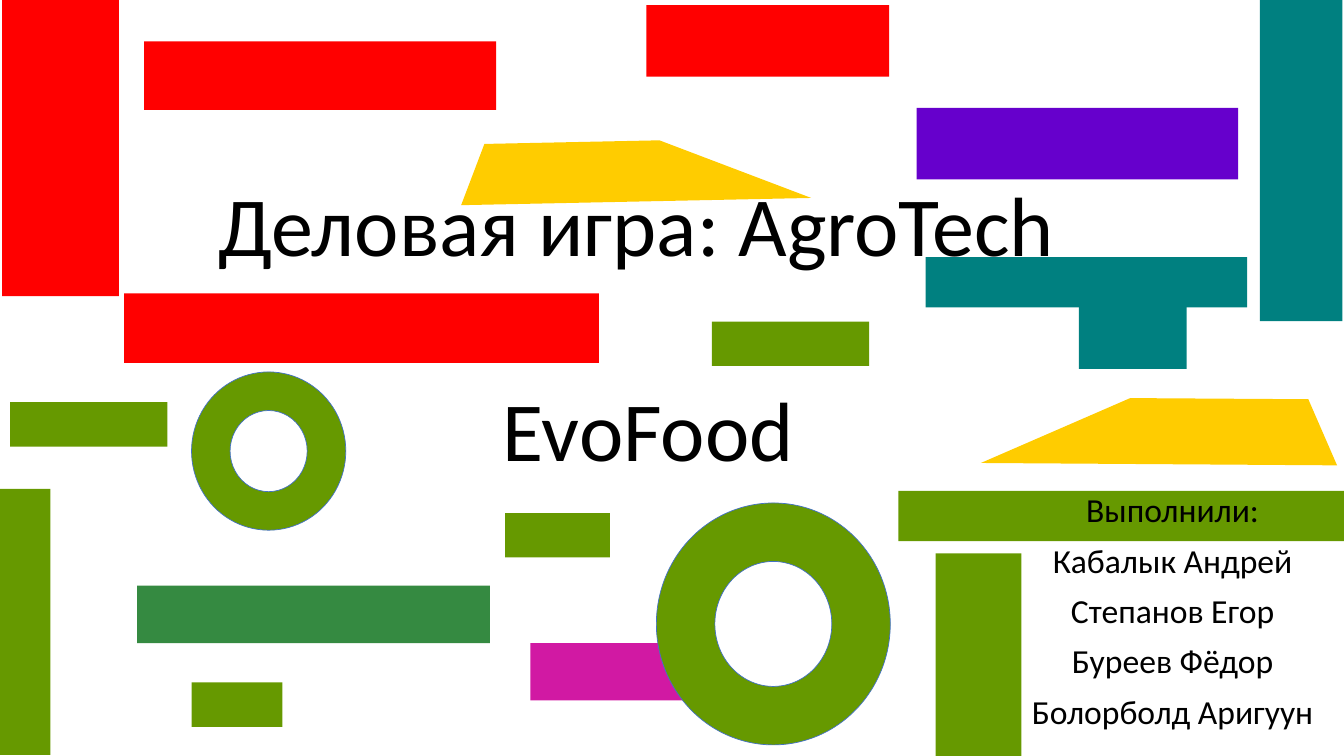
from lxml.etree import SubElement
from pptx import Presentation
from pptx.dml.color import RGBColor
from pptx.enum.shapes import MSO_SHAPE
from pptx.enum.text import MSO_ANCHOR, PP_ALIGN
from pptx.oxml.ns import qn
from pptx.util import Inches, Pt

COLORS = {
    "red": "FF0000", "green": "669900", "teal": "008080",
    "violet": "6600CC", "yellow": "FFCC00", "pink": "CC0099",
    "forest": "207E2D", "edge": "4472C4", "ink": "000000",
}
RECT, RING, STRIPE = MSO_SHAPE.RECTANGLE, MSO_SHAPE.DONUT, MSO_SHAPE.DIAGONAL_STRIPE

# Back to front: kind, colour, (left, top, width, height), rotation
BLOCKS = [
    (RECT, "red", (1.43, 0.41, 3.49, 0.68), 0),
    (RECT, "red", (-0.88, 0.88, 2.96, 1.16), 90),
    (RECT, "red", (6.41, 0.05, 2.41, 0.71), 0),
    (RECT, "green", (0.1, 3.99, 1.56, 0.44), 180),
    (RECT, "pink", (5.26, 6.38, 1.52, 0.57), 0),
    (RECT, "teal", (9.18, 2.55, 3.19, 0.5), 0),
    (RING, "green", (1.9, 3.69, 1.53, 1.57), 0),
    (RECT, "violet", (9.09, 1.07, 3.19, 0.71), 0),
    (STRIPE, "yellow", (10.78, 2.99, 1.43, 3.23), 66.5),
    (STRIPE, "yellow", (5.66, 0.39, 1.3, 3.22), 290.8),
    (RECT, "red", (1.23, 2.91, 4.71, 0.69), 0),
    (RECT, "teal", (11.31, 1.18, 3.19, 0.82), 90),
    (RECT, "teal", (10.7, 2.95, 1.07, 0.71), 0),
    (RING, "green", (6.51, 4.99, 2.32, 2.4), 0),
    (RECT, "green", (1.9, 6.77, 0.9, 0.44), 180),
    (RECT, "forest", (1.36, 5.81, 3.5, 0.57), 0),
    (RECT, "green", (-1.07, 5.92, 2.64, 0.5), 90),
    (RECT, "green", (8.91, 4.87, 4.42, 0.5), 0),
    (RECT, "green", (7.06, 3.19, 1.56, 0.44), 180),
    (RECT, "green", (5.01, 5.09, 1.04, 0.44), 180),
    (RECT, "green", (8.7, 6.07, 2.01, 0.85), 90),
]
TEAM = ["Выполнили:", "Кабалык Андрей", "Степанов Егор",
        "Буреев Фёдор", "Болорболд Аригуун"]


def color(name):
    return RGBColor.from_string(COLORS[name])


def fade(shape, percent):
    """Set the opacity of a solid fill."""
    tint = shape.element.spPr.find(qn("a:solidFill"))[0]
    SubElement(tint, qn("a:alpha")).set("val", str(percent * 1000))


def flip(shape):
    shape.element.spPr.find(qn("a:xfrm")).set("flipH", "1")


def add_block(slide, kind, fill, box, angle):
    shape = slide.shapes.add_shape(kind, *map(Inches, box))
    shape.rotation = angle
    shape.shadow.inherit = False
    shape.fill.solid()
    shape.fill.fore_color.rgb = color(fill)
    if kind == RING:
        shape.line.color.rgb = color("edge")
        shape.line.width = Pt(0.5)
    else:
        shape.line.fill.background()
    if fill in ("pink", "forest"):
        fade(shape, 90)
    if kind == STRIPE and angle > 180:
        flip(shape)


def add_text(slide, lines, box, size, anchor):
    frame = slide.shapes.add_textbox(*map(Inches, box)).text_frame
    frame.word_wrap = True
    frame.vertical_anchor = anchor
    frame.text = "\n".join(lines)
    for i, para in enumerate(frame.paragraphs):
        para.alignment = PP_ALIGN.CENTER
        para.line_spacing = 0.9
        if i:
            para.space_before = Pt(10)
        font = para.runs[0].font
        font.name = "Calibri"
        font.size = Pt(size)
        font.color.rgb = color("ink")


def main():
    deck = Presentation()
    deck.slide_width, deck.slide_height = Inches(13.33), Inches(7.5)
    slide = deck.slides.add_slide(deck.slide_layouts[6])
    for block in BLOCKS:
        add_block(slide, *block)
    add_text(slide, ["Деловая игра: AgroTech"], (1.31, 1.65, 10, 1.12), 60, MSO_ANCHOR.BOTTOM)
    add_text(slide, TEAM, (9.92, 4.85, 3.42, 2.65), 24, MSO_ANCHOR.TOP)
    add_text(slide, ["EvoFood"], (1.43, 3.69, 10, 1.12), 60, MSO_ANCHOR.BOTTOM)
    deck.save("out.pptx")


if __name__ == "__main__":
    main()
